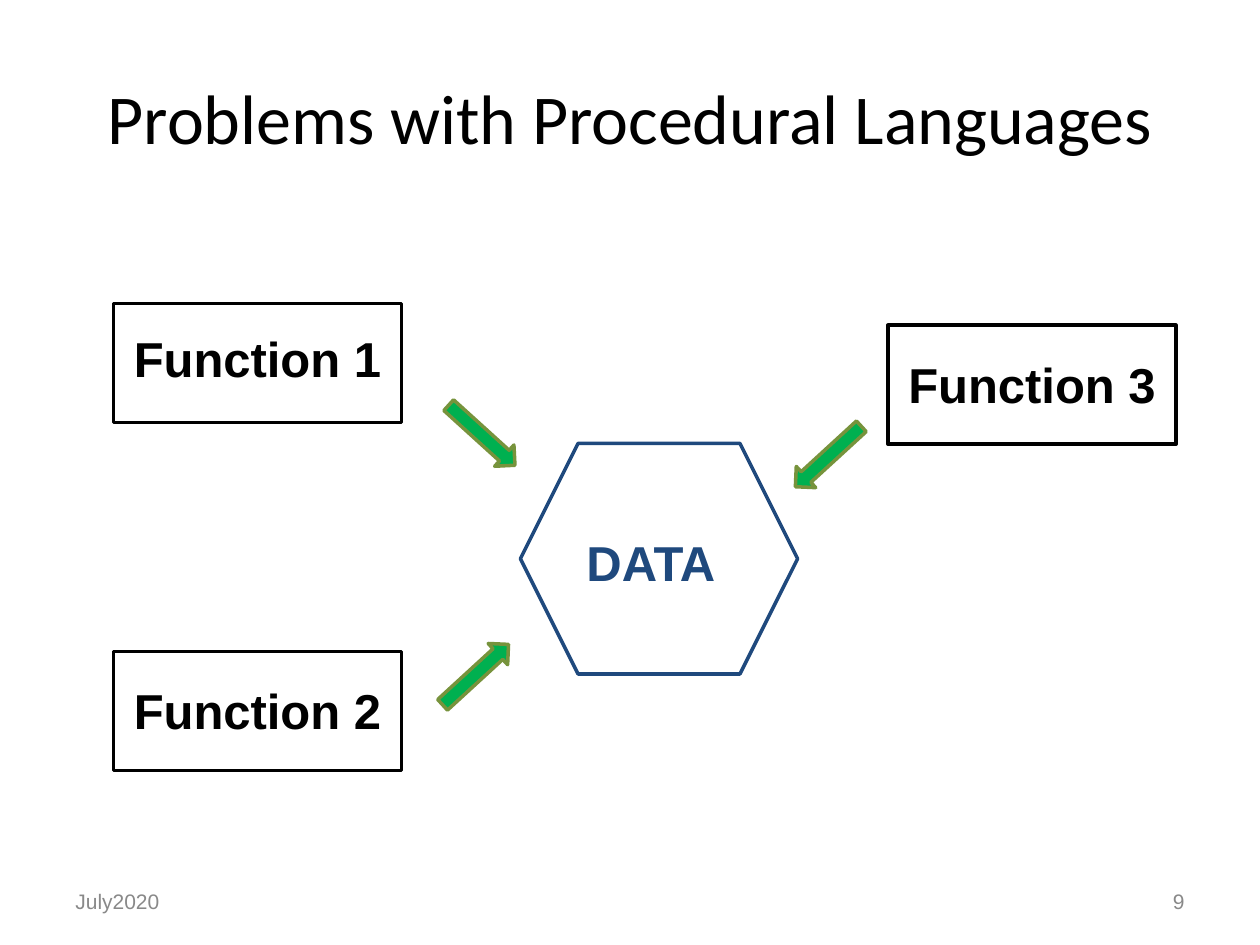
"""Build the slide on functions that share data in procedural languages."""
from pptx import Presentation
from pptx.dml.color import RGBColor
from pptx.enum import shapes, text
from pptx.util import Pt

BLACK = RGBColor(0x00, 0x00, 0x00)
GREY = RGBColor(0x89, 0x89, 0x89)
NAVY = RGBColor(0x1F, 0x49, 0x7D)
GREEN = RGBColor(0x00, 0xB0, 0x50)
OLIVE = RGBColor(0x77, 0x93, 0x3C)

SHAPE, ALIGN, ANCHOR = shapes.MSO_SHAPE, text.PP_ALIGN, text.MSO_ANCHOR
TITLE = {"name": "Calibri", "size": Pt(40)}
FOOTER = {"name": "Arial", "size": Pt(12)}
LABEL = {"name": "Arial", "size": Pt(28), "bold": True}

BOX_W, BOX_H, LABEL_H = 164.6, 68, 41.2
ARROW_W, ARROW_H = 51.1, 16.4

FRAME_TEXTS = [
    ("Problems with Procedural Languages", (36, 21.6, 648, 90), TITLE, BLACK, ALIGN.CENTER),
    ("July2020", (36, 500.4, 168, 28.8), FOOTER, GREY, ALIGN.LEFT),
    ("9", (516, 500.4, 168, 28.8), FOOTER, GREY, ALIGN.RIGHT),
]
FUNCTIONS = [
    ("Function 1", 64.8, 173.5, 10.8),
    ("Function 2", 64.8, 372.2, 13),
    ("Function 3", 507.4, 185.8, 13),
]
DATA_HEXAGON = (297.4, 253.4, 158.4, 131.8)
DATA_LABEL = (295.2, 301, 153.4, LABEL_H)
ARROWS = [(249.8, 240.5, 42.2), (246.2, 377.3, 317.5), (447.8, 252.7, 137.5)]


def add_text(s, words, box, font, color, align=ALIGN.CENTER, anchor=ANCHOR.TOP):
    tf = s.shapes.add_textbox(*map(Pt, box)).text_frame
    tf.word_wrap = True
    tf.vertical_anchor = anchor
    p = tf.paragraphs[0]
    p.alignment = align
    r = p.add_run()
    r.text = words
    for key, value in font.items():
        setattr(r.font, key, value)
    r.font.color.rgb = color


def add_outline(s, kind, box, line, fill=None, rotation=0):
    sp = s.shapes.add_shape(kind, *map(Pt, box))
    sp.shadow.inherit = False
    sp.rotation = rotation
    sp.line.color.rgb = line
    sp.line.width = Pt(2)
    if fill is None:
        sp.fill.background()
    else:
        sp.fill.solid()
        sp.fill.fore_color.rgb = fill


def main():
    prs = Presentation()
    prs.slide_width, prs.slide_height = Pt(720), Pt(540)
    s = prs.slides.add_slide(prs.slide_layouts[6])

    for words, box, font, color, align in FRAME_TEXTS:
        add_text(s, words, box, font, color, align, ANCHOR.MIDDLE)

    for name, left, top, drop in FUNCTIONS:
        add_outline(s, SHAPE.RECTANGLE, (left, top, BOX_W, BOX_H), BLACK)
        add_text(s, name, (left, top + drop, BOX_W, LABEL_H), LABEL, BLACK)

    add_outline(s, SHAPE.HEXAGON, DATA_HEXAGON, NAVY)
    add_text(s, "DATA", DATA_LABEL, LABEL, NAVY)

    for left, top, angle in ARROWS:
        add_outline(s, SHAPE.RIGHT_ARROW, (left, top, ARROW_W, ARROW_H), OLIVE, GREEN, angle)

    prs.save("out.pptx")


if __name__ == "__main__":
    main()
